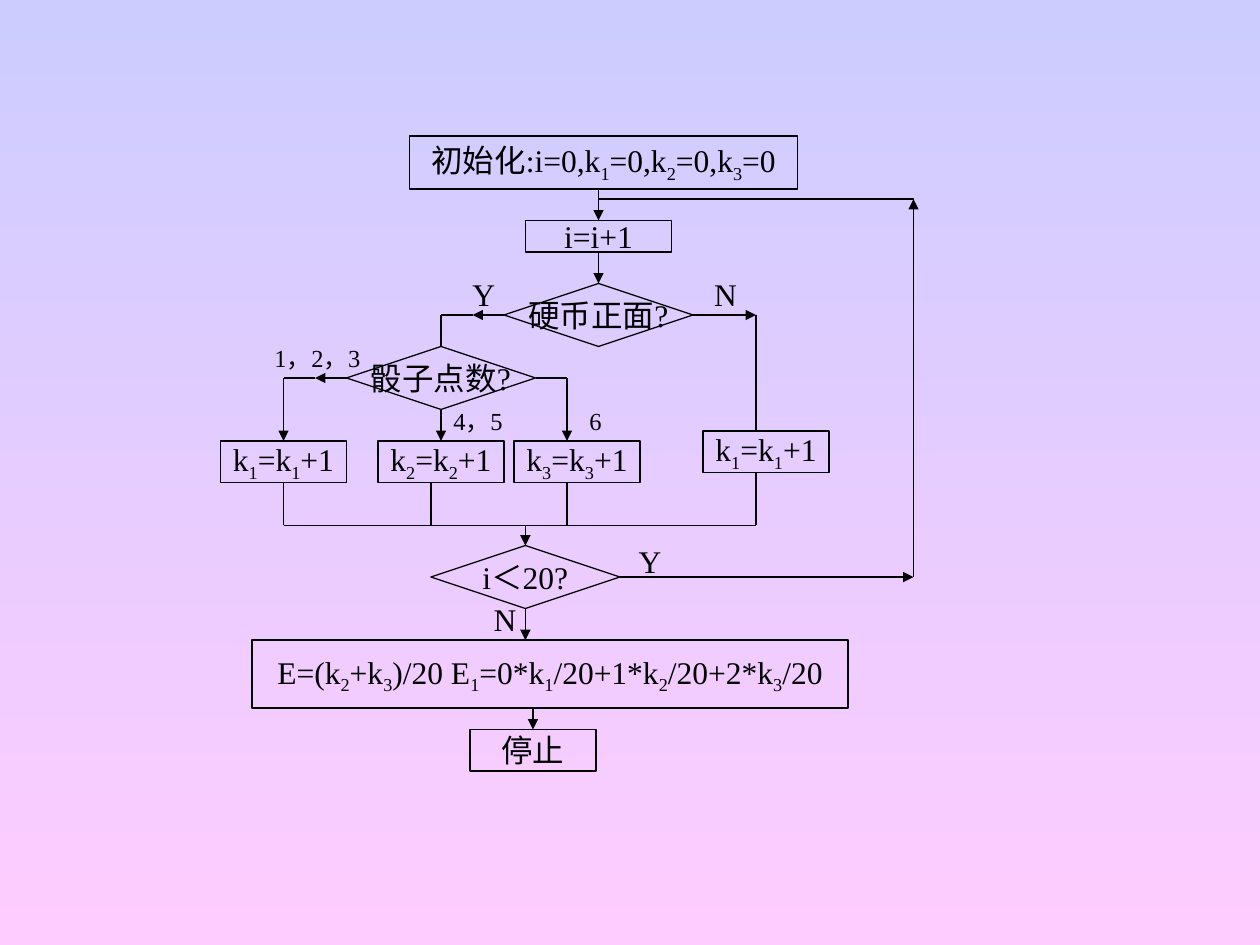
from lxml.etree import SubElement
from pptx import Presentation
from pptx.dml.color import RGBColor
from pptx.enum.shapes import MSO_CONNECTOR, MSO_SHAPE
from pptx.enum.text import MSO_ANCHOR, MSO_AUTO_SIZE, PP_ALIGN
from pptx.oxml.ns import qn
from pptx.util import Inches, Pt

BLACK = RGBColor(0x00, 0x00, 0x00)
BLUE = RGBColor(0xCC, 0xCC, 0xFF)
PINK = RGBColor(0xFF, 0xCC, 0xFF)
TOP, LEFT, BOTTOM, RIGHT = range(4)


class Chart:
    font = "Times New Roman"
    asian = "Noto Sans CJK SC"
    size = 18
    width = Pt(0.75)

    def __init__(self, slide):
        self.slide = slide
        self.shapes = slide.shapes

    def back(self, first, last):
        fill = self.slide.background.fill
        fill.gradient()
        fill.gradient_angle = 270
        for stop, color in zip(fill.gradient_stops, (first, last)):
            stop.color.rgb = color

    def text(self, frame, text, size):
        para = frame.paragraphs[0]
        font = para.font
        font.name, font.size = self.font, Pt(size)
        font.color.rgb = BLACK
        head, *parts = text.split("_")
        pieces = [(head, False)]
        for part in parts:
            pieces += [(part[0], True), (part[1:], False)]
        for piece, low in pieces:
            run = para.add_run()
            run.text = piece
            props = run._r.get_or_add_rPr()
            SubElement(props, qn("a:ea")).set("typeface", self.asian)
            if low:
                props.set("baseline", "-25000")
        return para

    def node(self, kind, left, top, width, height, text):
        shape = self.shapes.add_shape(
            kind, Inches(left), Inches(top), Inches(width), Inches(height))
        shape.shadow.inherit = False
        shape.fill.background()
        shape.line.color.rgb = BLACK
        shape.line.width = self.width
        frame = shape.text_frame
        frame.word_wrap = False
        frame.vertical_anchor = MSO_ANCHOR.MIDDLE
        self.text(frame, text, self.size).alignment = PP_ALIGN.CENTER
        return shape

    def box(self, left, top, width, height, text):
        return self.node(MSO_SHAPE.RECTANGLE, left, top, width, height, text)

    def test(self, left, top, text):
        return self.node(MSO_SHAPE.FLOWCHART_DECISION, left, top, 1.5, 0.5, text)

    def label(self, left, top, width, height, text, size=18, wrap=False, before=0):
        frame = self.shapes.add_textbox(
            Inches(left), Inches(top), Inches(width), Inches(height)).text_frame
        frame.word_wrap = wrap
        frame.auto_size = MSO_AUTO_SIZE.SHAPE_TO_FIT_TEXT
        self.text(frame, text, size).space_before = Pt(before)

    def line(self, start, end, arrow=False, source=None, target=None):
        ends = [Inches(value) for value in (*start, *end)]
        link = self.shapes.add_connector(MSO_CONNECTOR.STRAIGHT, *ends)
        link.line.color.rgb = BLACK
        link.line.width = self.width
        if source:
            link.begin_connect(*source)
        if target:
            link.end_connect(*target)
        props = link._element.spPr
        if arrow:
            SubElement(props.find(qn("a:ln")), qn("a:tailEnd")).set("type", "triangle")
        SubElement(props, qn("a:effectLst"))

    def arrow(self, start, end, source=None, target=None):
        self.line(start, end, True, source, target)


def main():
    deck = Presentation()
    deck.slide_width, deck.slide_height = Inches(10), Inches(7.5)
    flow = Chart(deck.slides.add_slide(deck.slide_layouts[6]))
    flow.back(BLUE, PINK)

    flow.node(MSO_SHAPE.FLOWCHART_PROCESS, 3.25, 1.08, 3.08, 0.42,
              "初始化:i=0,k_1=0,k_2=0,k_3=0")
    step = flow.box(4.17, 1.75, 1.16, 0.25, "i=i+1")
    coin = flow.test(4, 2.25, "硬币正面?")
    dice = flow.test(2.75, 2.75, "骰子点数?")
    one, two, *_ = [
        flow.box(left, top, 1, 0.33, f"k_{digit}=k_{digit}+1")
        for left, top, digit in
        ((1.75, 3.5, 1), (3, 3.5, 2), (4.08, 3.5, 3), (5.58, 3.42, 1))]
    loop = flow.test(3.42, 4.33, "i＜20?")
    flow.box(2, 5.08, 4.73, 0.54,
             "E=(k_2+k_3)/20 E_1=0*k_1/20+1*k_2/20+2*k_3/20")
    stop = flow.box(3.73, 5.79, 1, 0.33, "停止")

    flow.arrow((4.75, 1.5), (4.75, 1.75), target=(step, TOP))
    flow.arrow((4.75, 2), (4.75, 2.25), (step, BOTTOM), (coin, TOP))
    flow.arrow((4, 2.5), (3.75, 2.5), (coin, LEFT))
    flow.line((3.75, 2.5), (3.5, 2.5))
    flow.line((3.5, 2.5), (3.5, 2.75), target=(dice, TOP))
    flow.arrow((5.5, 2.5), (6, 2.5), (coin, RIGHT))
    flow.line((6, 2.5), (6, 3.42))

    flow.arrow((2.75, 3), (2.5, 3), (dice, LEFT))
    flow.line((2.5, 3), (2.25, 3))
    flow.arrow((2.25, 3), (2.25, 3.5), target=(one, TOP))
    flow.arrow((3.5, 3.25), (3.5, 3.5), (dice, BOTTOM), (two, TOP))
    flow.line((4.25, 3), (4.5, 3), source=(dice, RIGHT))
    flow.arrow((4.5, 3), (4.5, 3.5))

    flow.line((2.25, 3.83), (2.25, 4.17), source=(one, BOTTOM))
    for left, top in ((3.42, 3.83), (4.5, 3.83), (6, 3.75)):
        flow.line((left, top), (left, 4.17))
    flow.line((2.25, 4.17), (6, 4.17))

    flow.arrow((4.17, 4.17), (4.17, 4.33), target=(loop, TOP))
    flow.arrow((4.17, 4.83), (4.17, 5.08), (loop, BOTTOM))
    flow.arrow((4.92, 4.58), (7.25, 4.58), (loop, RIGHT))
    flow.arrow((7.25, 4.58), (7.25, 1.58))
    flow.line((4.75, 1.58), (7.25, 1.58))
    flow.arrow((4.23, 5.63), (4.23, 5.79), target=(stop, TOP))

    for left, top, text in ((3.65, 2.13, "Y"), (5.57, 2.13, "N"), (4.97, 4.25, "Y")):
        flow.label(left, top, 0.38, 0.4, text)
    flow.label(3.82, 4.71, 0.31, 0.4, "N", wrap=True, before=11.2)
    for left, top, width, height, text in (
            (2.08, 2.67, 1, 0.57, "1，2，3"),
            (3.5, 3.17, 0.92, 0.34, "4，5"),
            (4.58, 3.17, 0.25, 0.34, "6")):
        flow.label(left, top, width, height, text, 14, True, 8.8)

    deck.save("out.pptx")


if __name__ == "__main__":
    main()
